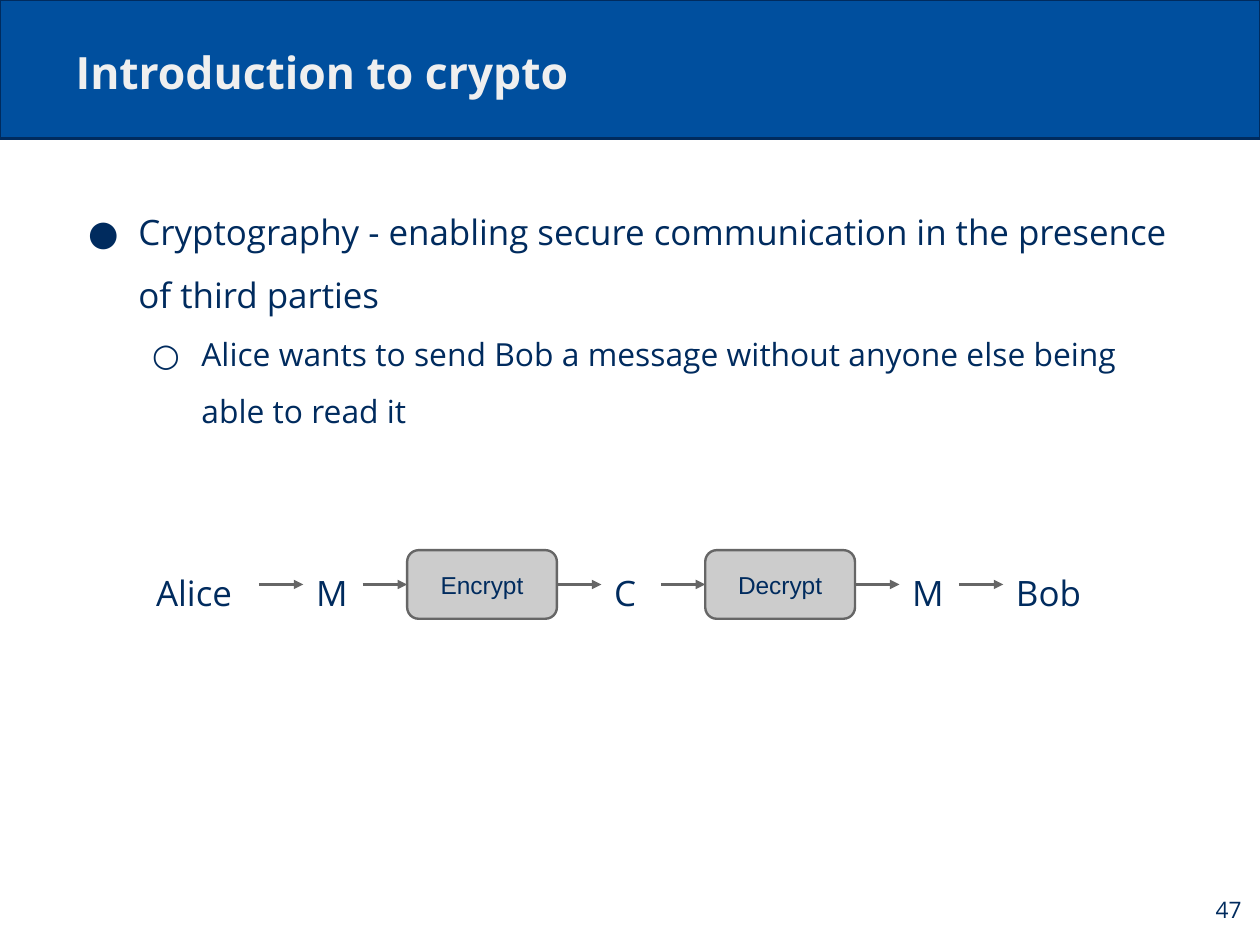
"""Build the slide that introduces cryptography with an encrypt and decrypt chain."""
from lxml import etree
from pptx import Presentation
from pptx.dml.color import RGBColor
from pptx.enum.shapes import MSO_CONNECTOR, MSO_SHAPE
from pptx.enum.text import MSO_ANCHOR, PP_ALIGN
from pptx.oxml.ns import qn
from pptx.util import Pt

RECTANGLE, ROUNDED = MSO_SHAPE.RECTANGLE, MSO_SHAPE.ROUNDED_RECTANGLE
STRAIGHT = MSO_CONNECTOR.STRAIGHT
TOP, MIDDLE, BOTTOM = MSO_ANCHOR.TOP, MSO_ANCHOR.MIDDLE, MSO_ANCHOR.BOTTOM
LEFT, CENTER, RIGHT = PP_ALIGN.LEFT, PP_ALIGN.CENTER, PP_ALIGN.RIGHT
WIDTH, HEIGHT = 793.44, 595.44


def color(value):
    return RGBColor.from_string(value)


class CryptoSlide:
    navy, blue, pale = "002B5E", "004F9E", "EFEFEF"
    gray, edge = "CCCCCC", "666666"
    font, box_font = "Open Sans", "Arial"
    inset, line_width = 8, 1.5

    def __init__(self, slide):
        self.slide = slide

    def frame(self, shape, anchor):
        frame = shape.text_frame
        frame.word_wrap = True
        frame.vertical_anchor = anchor
        frame.margin_left = frame.margin_right = Pt(self.inset)
        frame.margin_top = frame.margin_bottom = Pt(self.inset)
        return frame

    def format(self, paragraph, size, ink=navy, font=font, bold=False, align=LEFT):
        paragraph.alignment = align
        for run in paragraph.runs:
            run.font.size = Pt(size)
            run.font.name = font
            run.font.bold = bold
            run.font.color.rgb = color(ink)

    def spread(self, paragraph, before):
        paragraph.line_spacing = 1.5
        paragraph.space_before = Pt(before)

    def box(self, kind, left, top, width, height, fill, line):
        shape = self.slide.shapes.add_shape(kind, Pt(left), Pt(top), Pt(width), Pt(height))
        shape.shadow.inherit = False
        shape.fill.solid()
        shape.fill.fore_color.rgb = color(fill)
        shape.line.color.rgb = color(line)
        shape.line.width = Pt(self.line_width)
        return shape

    def text_box(self, left, top, width, height, anchor=TOP):
        shape = self.slide.shapes.add_textbox(Pt(left), Pt(top), Pt(width), Pt(height))
        return self.frame(shape, anchor)

    def label(self, text, left, top, width, height, size, anchor=TOP, **style):
        frame = self.text_box(left, top, width, height, anchor)
        frame.text = text
        self.format(frame.paragraphs[0], size, **style)
        return frame.paragraphs[0]

    def bullets(self, items, left, top, width, height):
        frame = self.text_box(left, top, width, height)
        frame.text = "\n".join(item[0] for item in items)
        for paragraph, (_, level, size, indent, hang, before, mark) in zip(frame.paragraphs, items):
            paragraph.level = level
            self.format(paragraph, size)
            self.spread(paragraph, before)
            properties = paragraph._p.get_or_add_pPr()
            properties.set("marL", str(Pt(indent)))
            properties.set("indent", str(-Pt(hang)))
            tint = etree.SubElement(properties, qn("a:buClr"))
            etree.SubElement(tint, qn("a:srgbClr"), val=self.navy)
            etree.SubElement(properties, qn("a:buFont"), typeface=self.font)
            etree.SubElement(properties, qn("a:buChar"), char=mark)

    def message(self, text, left, width):
        self.spread(self.label(text, left, 338.4, width, 59.8, 22), 6.6)

    def operation(self, text, left, width):
        shape = self.box(ROUNDED, left, 346.3, width, 43.2, self.gray, self.edge)
        frame = self.frame(shape, MIDDLE)
        frame.text = text
        self.format(frame.paragraphs[0], 15.4, font=self.box_font, align=CENTER)

    def arrow(self, start, end, y):
        connector = self.slide.shapes.add_connector(STRAIGHT, Pt(start), Pt(y), Pt(end), Pt(y))
        connector.line.color.rgb = color(self.edge)
        connector.line.width = Pt(self.line_width)
        etree.SubElement(connector.line._get_or_add_ln(), qn("a:tailEnd"), type="triangle")
        etree.SubElement(connector._element.spPr, qn("a:effectLst"))


def main():
    presentation = Presentation()
    presentation.slide_width, presentation.slide_height = Pt(WIDTH), Pt(HEIGHT)
    crypto = CryptoSlide(presentation.slides.add_slide(presentation.slide_layouts[6]))

    crypto.box(RECTANGLE, 0, 0, WIDTH, 87.1, crypto.blue, crypto.navy)
    crypto.bullets([
        ("Cryptography - enabling secure communication in the presence of third parties",
         0, 22, 39.6, 31.7, 6.6, "●"),
        ("Alice wants to send Bob a message without anyone else being able to read it",
         1, 20, 79.2, 31, 0, "○"),
    ], 39.6, 111.6, 714.2, 185)
    crypto.label("Introduction to crypto", 39.6, 17.3, 714.2, 52.6, 28, BOTTOM,
                 ink=crypto.pale, bold=True)

    person, symbol, operation = 72.7, 37.4, 94.3
    chain = [
        ("Alice", person, crypto.message),
        ("M", symbol, crypto.message),
        ("Encrypt", operation, crypto.operation),
        ("C", symbol, crypto.message),
        ("Decrypt", operation, crypto.operation),
        ("M", symbol, crypto.message),
        ("Bob", person, crypto.message),
    ]
    left, gap = 90.3, 28
    for position, (text, width, draw) in enumerate(chain):
        if position:
            crypto.arrow(left - gap, left, 367.9)
        draw(text, left, width)
        left += width + gap

    crypto.label("47", 742.3, 550.1, 47.5, 45.3, 14.3, MIDDLE, align=RIGHT)
    presentation.save("out.pptx")


if __name__ == "__main__":
    main()
